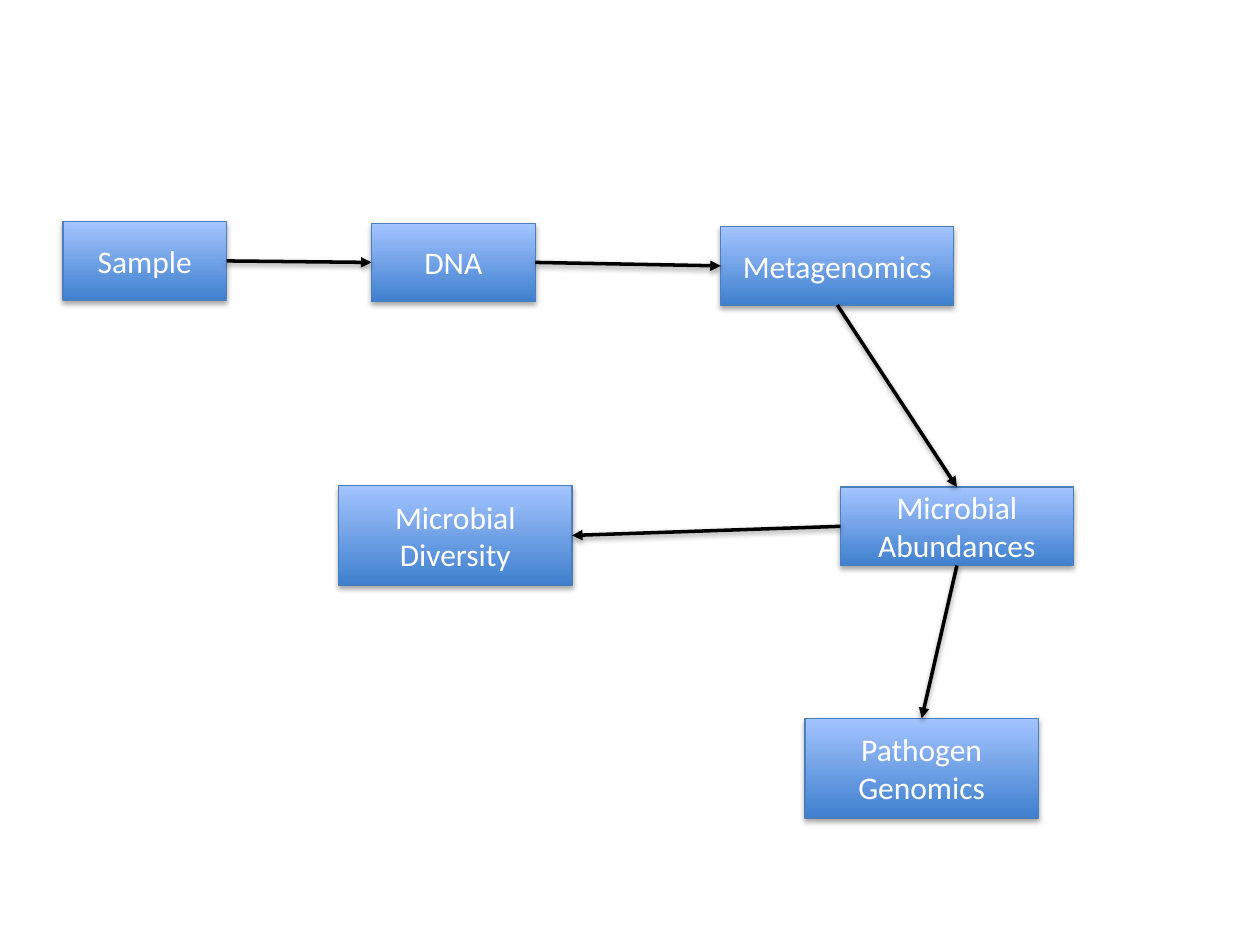
from dataclasses import dataclass

from pptx import Presentation
from pptx.dml.color import RGBColor
from pptx.enum.shapes import MSO_CONNECTOR, MSO_SHAPE
from pptx.enum.text import MSO_ANCHOR, PP_ALIGN
from pptx.oxml import parse_xml
from pptx.oxml.ns import nsdecls, qn
from pptx.util import Cm, Pt

TOP, LEFT, BOTTOM, RIGHT = range(4)


@dataclass(frozen=True)
class Theme:
    """Colours, type and line sizes of the flow chart."""

    dark: str = "3F80CE"
    light: str = "A4C4FF"
    edge: str = "4B7EBC"
    ink: str = "000000"
    text: str = "FFFFFF"
    font: str = "Calibri"
    size: float = 18
    thin: float = 0.75
    thick: float = 2


class Chart:
    """Draws boxes and arrows on one slide in one theme."""

    def __init__(self, slide, theme):
        self.slide = slide
        self.theme = theme

    def shade(self, shape, drop, alpha):
        """Give a shape a soft shadow straight below it."""
        shape.element.spPr.append(parse_xml(
            f'<a:effectLst {nsdecls("a")}><a:outerShdw blurRad="{Pt(3.15)}" '
            f'dist="{Pt(drop)}" dir="5400000" rotWithShape="0">'
            f'<a:srgbClr val="{self.theme.ink}"><a:alpha val="{alpha * 1000}"/>'
            '</a:srgbClr></a:outerShdw></a:effectLst>'))

    def stroke(self, line, colour, width):
        """Set the colour and width of a line."""
        line.color.rgb = RGBColor.from_string(colour)
        line.width = Pt(width)

    def box(self, text, left, top, width, height):
        """Add a labelled box with a vertical gradient."""
        look = self.theme
        shape = self.slide.shapes.add_shape(
            MSO_SHAPE.RECTANGLE, Cm(left), Cm(top), Cm(width), Cm(height))
        shape.fill.gradient()
        shape.fill.gradient_angle = 90
        for stop, tone, place in zip(
                shape.fill.gradient_stops, (look.dark, look.light), (0, 1)):
            stop.color.rgb = RGBColor.from_string(tone)
            stop.position = place
        self.stroke(shape.line, look.edge, look.thin)
        self.shade(shape, 1.8, 35)
        frame = shape.text_frame
        frame.text = text
        frame.word_wrap = True
        frame.vertical_anchor = MSO_ANCHOR.MIDDLE
        para = frame.paragraphs[0]
        para.alignment = PP_ALIGN.CENTER
        para.font.name = look.font
        para.font.size = Pt(look.size)
        para.font.color.rgb = RGBColor.from_string(look.text)
        return shape

    def arrow(self, start, out, end, into):
        """Join a side of one box to a side of the next."""
        line = self.slide.shapes.add_connector(
            MSO_CONNECTOR.STRAIGHT, 0, 0, 0, 0)
        line.begin_connect(start, out)
        line.end_connect(end, into)
        self.stroke(line.line, self.theme.ink, self.theme.thick)
        line.element.spPr.find(qn("a:ln")).append(
            parse_xml(f'<a:tailEnd {nsdecls("a")} type="triangle"/>'))
        self.shade(line, 1.6, 38)


def main():
    """Build the flow from sample to genomics."""
    deck = Presentation()
    deck.slide_width, deck.slide_height = Cm(25.4), Cm(19.05)
    chart = Chart(deck.slides.add_slide(deck.slide_layouts[6]), Theme())

    slim, wide = 3.3, 4.7
    low, tall = 1.58, 2.01
    sample = chart.box("Sample", 1.27, 4.47, slim, low)
    dna = chart.box("DNA", 7.49, 4.5, slim, low)
    meta = chart.box("Metagenomics", 14.53, 4.57, wide, low)
    counts = chart.box("Microbial Abundances", 16.94, 9.82, wide, low)
    spread = chart.box("Microbial Diversity", 6.83, 9.79, wide, tall)
    germs = chart.box("Pathogen Genomics", 16.23, 14.48, wide, tall)

    for link in (
        (sample, RIGHT, dna, LEFT),
        (dna, RIGHT, meta, LEFT),
        (meta, BOTTOM, counts, TOP),
        (counts, LEFT, spread, RIGHT),
        (counts, BOTTOM, germs, TOP),
    ):
        chart.arrow(*link)
    deck.save("out.pptx")


if __name__ == "__main__":
    main()
